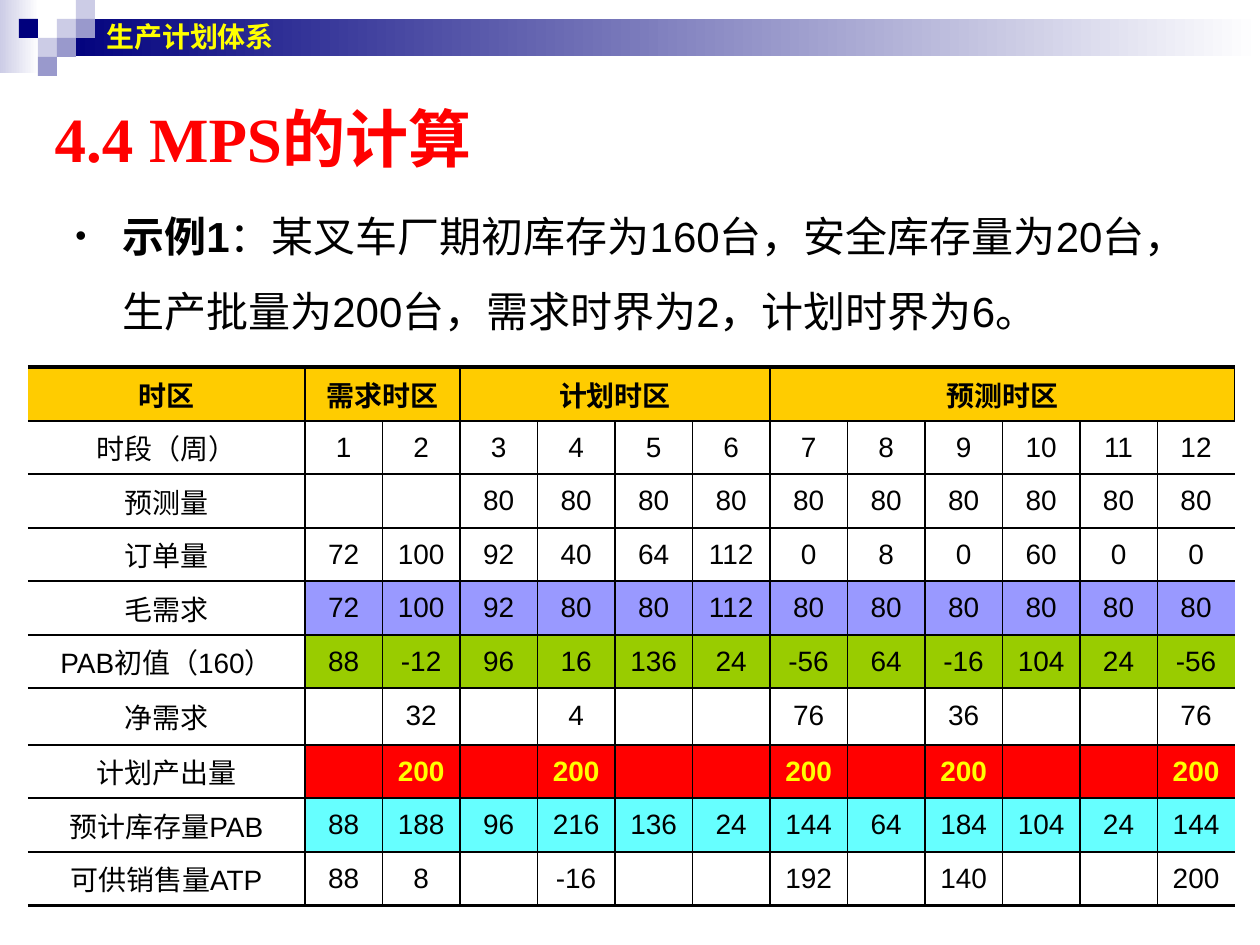
from lxml.etree import SubElement
from pptx import Presentation
from pptx.dml.color import RGBColor
from pptx.enum.shapes import MSO_SHAPE
from pptx.enum.text import MSO_ANCHOR, PP_ALIGN
from pptx.oxml.ns import qn
from pptx.util import Pt

PX = 914400 / 126

BLACK = RGBColor(0, 0, 0)
WHITE = RGBColor(255, 255, 255)
YELLOW = RGBColor(255, 255, 0)
RED = RGBColor(255, 0, 0)
GOLD = RGBColor(0xFF, 0xCC, 0x00)
PERIWINKLE = RGBColor(0x99, 0x99, 0xFF)
GREEN = RGBColor(0x99, 0xCC, 0x00)
CYAN = RGBColor(0x66, 0xFF, 0xFF)
NAVY = RGBColor(0, 0, 0x7D)
PALE = RGBColor(0xCC, 0xCC, 0xE6)
LAVENDER = RGBColor(0x99, 0x99, 0xCC)

# Content
CHAPTER = "生产计划体系"
TITLE = "4.4 MPS的计算"
EXAMPLE = "示例1"
CONDITIONS = "：某叉车厂期初库存为160台，安全库存量为20台，生产批量为200台，需求时界为2，计划时界为6。"
ZONES = [("时区", 1), ("需求时区", 2), ("计划时区", 4), ("预测时区", 6)]
# label, values for the 12 periods, value fill
PERIOD_ROWS = [
    ("时段（周）", list(range(1, 13)), None),
    ("预测量", ["", ""] + [80] * 10, None),
    ("订单量", [72, 100, 92, 40, 64, 112, 0, 8, 0, 60, 0, 0], None),
    ("毛需求", [72, 100, 92, 80, 80, 112] + [80] * 6, PERIWINKLE),
    ("PAB初值（160）", [88, -12, 96, 16, 136, 24, -56, 64, -16, 104, 24, -56], GREEN),
    ("净需求", ["", 32, "", 4, "", "", 76, "", 36, "", "", 76], None),
    ("计划产出量", ["", 200, "", 200, "", "", 200, "", 200, "", "", 200], RED),
    ("预计库存量PAB", [88, 188, 96, 216, 136, 24, 144, 64, 184, 104, 24, 144], CYAN),
    ("可供销售量ATP", [88, 8, "", -16, "", "", 192, "", 140, "", "", 200], None),
]

# Geometry in px: left, top, width, height
BANDS = [((0, 0, 39, 73), PALE), ((57, 19, 1203, 37), NAVY)]
SQUARE = 19
# column, row on the square grid
SQUARES = [(3, 1, PALE), (4, 0, PALE), (4, 1, LAVENDER), (2, 2, PALE),
           (1, 1, NAVY), (3, 2, LAVENDER), (2, 3, LAVENDER)]
TABLE_BOX = (28, 367, 1207, 539)
LABEL_WIDTH = 277
ROW_HEIGHTS = [54, 53, 54, 53, 54, 53, 57, 53, 54, 54]


def emu(*lengths):
    return [round(length * PX) for length in lengths]


def add_text(paragraph, text, size=16, font="Arial", color=BLACK, bold=False):
    run = paragraph.add_run()
    run.text = str(text)
    run.font.size = Pt(size)
    run.font.name = font
    run.font.color.rgb = color
    run.font.bold = bold


def add_block(box, color, fade=False):
    block = slide.shapes.add_shape(MSO_SHAPE.RECTANGLE, *emu(*box))
    block.shadow.inherit = False
    block.line.fill.background()
    if fade:
        block.fill.gradient()
        block.fill.gradient_angle = 0
        for stop, shade in zip(block.fill.gradient_stops, (color, WHITE)):
            stop.color.rgb = shade
    else:
        block.fill.solid()
        block.fill.fore_color.rgb = color


def add_text_box(box):
    frame = slide.shapes.add_textbox(*emu(*box)).text_frame
    frame.word_wrap = True
    return frame


def set_border(cell, side, points):
    line = SubElement(cell._tc.get_or_add_tcPr(), qn(f"a:ln{side}"), w=str(Pt(points)))
    if points:
        fill = SubElement(line, qn("a:solidFill"))
        SubElement(fill, qn("a:srgbClr"), val=str(BLACK))
    else:
        SubElement(line, qn("a:noFill"))


def format_cell(row, column, fill):
    cell = table.cell(row, column)
    cell.vertical_anchor = MSO_ANCHOR.MIDDLE
    set_border(cell, "L", 1 if column else 0)
    set_border(cell, "R", 1 if column < last_column else 0)
    set_border(cell, "T", 1 if row else 2.25)
    set_border(cell, "B", 1 if row < last_row else 2.25)
    if fill is None:
        cell.fill.background()
    else:
        cell.fill.solid()
        cell.fill.fore_color.rgb = fill


def fill_cell(row, column, text, **text_format):
    paragraph = table.cell(row, column).text_frame.paragraphs[0]
    paragraph.alignment = PP_ALIGN.CENTER
    paragraph.font.size = Pt(16)
    if text != "":
        add_text(paragraph, text, **text_format)


presentation = Presentation()
presentation.slide_width, presentation.slide_height = emu(1260, 945)
slide = presentation.slides.add_slide(presentation.slide_layouts[5])

# Header band and squares
for box, color in BANDS:
    add_block(box, color, fade=True)
for column, row, color in SQUARES:
    add_block((column * SQUARE, row * SQUARE, SQUARE, SQUARE), color)
chapter = add_text_box((94, 0, 1113, 73))
chapter.vertical_anchor = MSO_ANCHOR.MIDDLE
add_text(chapter.paragraphs[0], CHAPTER, color=YELLOW, bold=True)

# Title
title = slide.shapes.title
title.left, title.top, title.width, title.height = emu(42, 95, 1134, 84)
title.text_frame.vertical_anchor = MSO_ANCHOR.MIDDLE
heading = title.text_frame.paragraphs[0]
heading.alignment = PP_ALIGN.LEFT
add_text(heading, TITLE, size=36, font="Times New Roman", color=RED, bold=True)

# Example conditions
example = add_text_box((63, 179, 1155, 168)).paragraphs[0]
example.line_spacing = 1.5
indent = emu(47)[0]
properties = example._p.get_or_add_pPr()
properties.set("marL", str(indent))
properties.set("indent", str(-indent))
bullet_color = SubElement(properties, qn("a:buClr"))
SubElement(bullet_color, qn("a:srgbClr"), val=str(BLACK))
SubElement(properties, qn("a:buSzPct"), val="75000")
SubElement(properties, qn("a:buFont"), typeface="Arial")
SubElement(properties, qn("a:buChar"), char="•")
add_text(example, EXAMPLE, size=24, bold=True)
add_text(example, CONDITIONS, size=24)

# Planning table
periods = len(PERIOD_ROWS[0][1])
last_row, last_column = len(PERIOD_ROWS), periods
table = slide.shapes.add_table(last_row + 1, last_column + 1, *emu(*TABLE_BOX)).table
table.first_row = table.horz_banding = False
period_width = (TABLE_BOX[2] - LABEL_WIDTH) / periods
for column, width in zip(table.columns, [LABEL_WIDTH] + [period_width] * periods):
    column.width = emu(width)[0]
for row, height in zip(table.rows, ROW_HEIGHTS):
    row.height = emu(height)[0]

# Time zone headings
for column in range(last_column + 1):
    format_cell(0, column, GOLD)
start = 0
for zone, span in ZONES:
    if span > 1:
        table.cell(0, start).merge(table.cell(0, start + span - 1))
    fill_cell(0, start, zone, bold=True)
    start += span

# Values by period
for row, (label, values, fill) in enumerate(PERIOD_ROWS, 1):
    format_cell(row, 0, None)
    fill_cell(row, 0, label)
    planned = fill == RED
    for column, value in enumerate(values, 1):
        format_cell(row, column, fill)
        fill_cell(row, column, value, color=YELLOW if planned else BLACK, bold=planned)

presentation.save("out.pptx")
